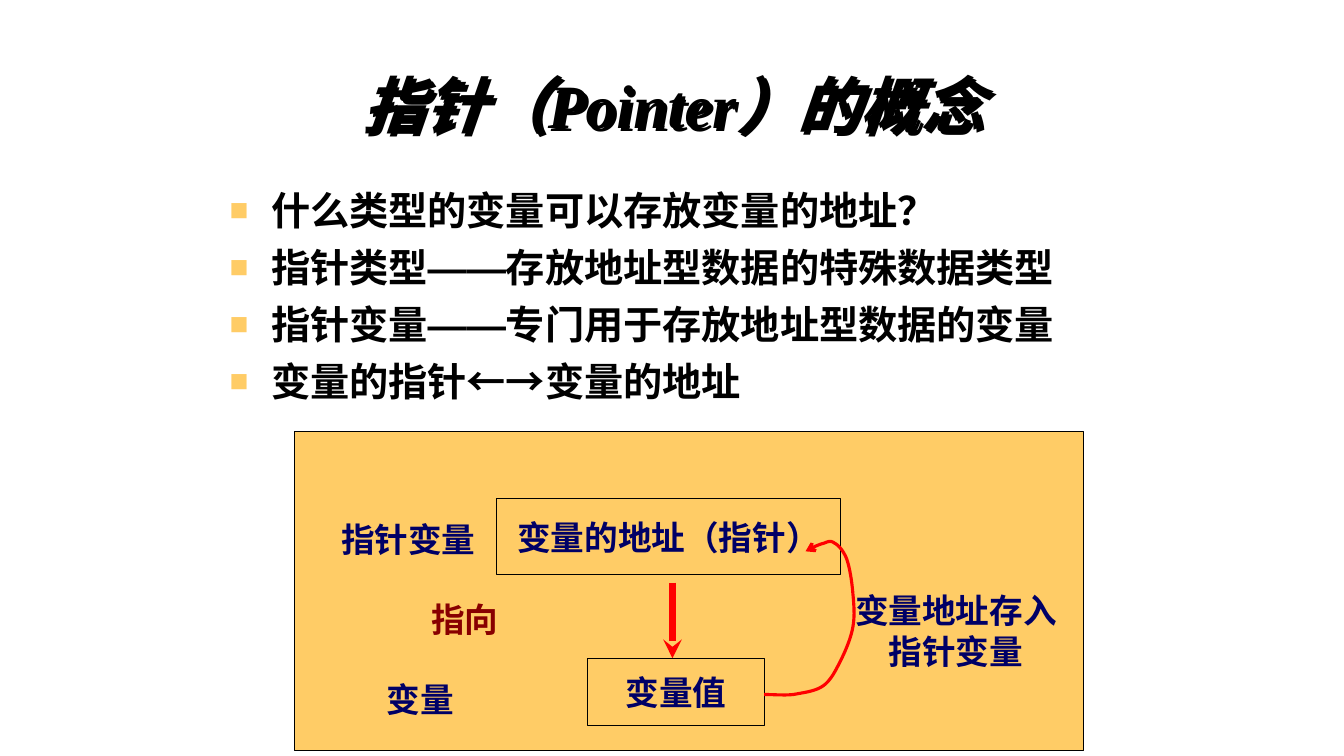
from dataclasses import dataclass

from lxml import etree
from pptx import Presentation
from pptx import util as u
from pptx.dml.color import RGBColor
from pptx.enum import shapes, text
from pptx.oxml import ns


@dataclass(frozen=True)
class Theme:
    latin: str = "Times New Roman"
    cjk: str = "Noto Sans CJK SC"
    dash: str = "Arial"
    ink: str = "000000"
    navy: str = "000066"
    maroon: str = "880000"
    amber: str = "FFCC66"
    red: str = "FF0000"
    title: int = 44
    body: int = 28
    label: int = 24


def add_xml(parent, tag, **attrs):
    return etree.SubElement(parent, ns.qn(tag), **attrs)


def bezier(p0, p1, p2, p3, steps=10):
    """Points along a cubic curve, without its start."""
    for i in range(1, steps + 1):
        t = i / steps
        w = ((1 - t) ** 3, 3 * t * (1 - t) ** 2, 3 * t * t * (1 - t), t ** 3)
        yield tuple(sum(k * p[a] for k, p in zip(w, (p0, p1, p2, p3))) for a in (0, 1))


class SlideBuilder:
    def __init__(self, prs, theme):
        self.theme = theme
        self.s = prs.slides.add_slide(prs.slide_layouts[6])

    def style(self, r, size, color, font=None, italic=False):
        f = r.font
        f.size, f.bold, f.italic = u.Pt(size), True, italic
        f.color.rgb = RGBColor.from_string(color)
        f.name = font or self.theme.latin
        add_xml(r._r.get_or_add_rPr(), "a:ea", typeface=font or self.theme.cjk)

    def text_box(self, left, top, width, height, anchor=text.MSO_ANCHOR.TOP, wrap=True):
        sp = self.s.shapes.add_textbox(*map(u.Inches, (left, top, width, height)))
        tf = sp.text_frame
        tf.word_wrap, tf.vertical_anchor = wrap, anchor
        return sp

    def title(self, words, *at):
        sp = self.text_box(*at, anchor=text.MSO_ANCHOR.MIDDLE)
        p = sp.text_frame.paragraphs[0]
        p.text = words
        p.alignment, p.line_spacing = text.PP_ALIGN.CENTER, 0.85
        self.style(p.runs[0], self.theme.title, self.theme.ink, italic=True)
        effects = add_xml(sp._element.spPr, "a:effectLst")
        shadow = add_xml(effects, "a:outerShdw", dist=str(u.Inches(0.04)),
                         dir="2700000", algn="ctr", rotWithShape="0")
        add_xml(shadow, "a:srgbClr", val=self.theme.ink)

    def bullets(self, items, *at):
        """Each item is split at its dash, which has a font of its own."""
        t = self.theme
        tf = self.text_box(*at).text_frame
        for i, item in enumerate(items):
            p = tf.add_paragraph() if i else tf.paragraphs[0]
            p.line_spacing = u.Pt(35)
            p.space_before = u.Pt(5.6 if i else 0)
            pPr = p._p.get_or_add_pPr()
            pPr.set("marL", str(u.Inches(0.41)))
            pPr.set("indent", str(-u.Inches(0.41)))
            add_xml(add_xml(pPr, "a:buClr"), "a:srgbClr", val=t.amber)
            add_xml(pPr, "a:buSzPct", val="80000")
            add_xml(pPr, "a:buFont", typeface=t.dash)
            add_xml(pPr, "a:buChar", char="■")
            before, dash, after = item.partition("——")
            for part in filter(None, (before, dash, after)):
                r = p.add_run()
                r.text = part
                self.style(r, t.body, t.ink, t.dash if part == dash else None)

    def box(self, left, top, width, height, words=""):
        sp = self.s.shapes.add_shape(shapes.MSO_SHAPE.RECTANGLE,
                                     *map(u.Inches, (left, top, width, height)))
        sp.shadow.inherit = False
        sp.fill.solid()
        sp.fill.fore_color.rgb = RGBColor.from_string(self.theme.amber)
        sp.line.color.rgb = RGBColor.from_string(self.theme.ink)
        sp.line.width = u.Pt(0.75)
        if words:
            tf = sp.text_frame
            tf.word_wrap, tf.vertical_anchor = False, text.MSO_ANCHOR.MIDDLE
            self.lines(tf, words, self.theme.navy)

    def lines(self, tf, words, color, spacing=None):
        tf.text = words
        for p in tf.paragraphs:
            p.alignment = text.PP_ALIGN.CENTER
            p.line_spacing = spacing
            self.style(p.runs[0], self.theme.label, color)

    def label(self, words, center_x, center_y, color):
        width, height = 1.6, 0.5
        sp = self.text_box(center_x - width / 2, center_y - height / 2, width, height,
                           text.MSO_ANCHOR.MIDDLE, wrap=False)
        self.lines(sp.text_frame, words, color)

    def note(self, words, *at):
        self.lines(self.text_box(*at).text_frame, words, self.theme.navy, u.Pt(29.3))

    def red_line(self, sp, width, head):
        sp.line.color.rgb = RGBColor.from_string(self.theme.red)
        sp.line.width = u.Pt(width)
        add_xml(sp.line._get_or_add_ln(), "a:tailEnd", type=head)

    def arrow(self, x1, y1, x2, y2):
        cn = self.s.shapes.add_connector(shapes.MSO_CONNECTOR.STRAIGHT,
                                         *map(u.Inches, (x1, y1, x2, y2)))
        add_xml(cn._element.spPr, "a:effectLst")
        self.red_line(cn, 4.5, "stealth")

    def curved_arrow(self, points):
        """Points are a start, then two handles and an end for each curve."""
        fb = self.s.shapes.build_freeform(*map(u.Inches, points[0]), scale=1.0)
        outline = [tuple(map(u.Inches, xy)) for i in range(0, len(points) - 1, 3)
                   for xy in bezier(*points[i:i + 4])]
        fb.add_line_segments(outline, close=False)
        sp = fb.convert_to_shape()
        sp.shadow.inherit = False
        sp.fill.background()
        self.red_line(sp, 2.25, "arrow")


def main():
    prs = Presentation()
    prs.slide_width, prs.slide_height = u.Inches(13.33), u.Inches(7.5)
    theme = Theme()
    b = SlideBuilder(prs, theme)

    b.title("指针（Pointer）的概念", 0.99, 0.63, 11.37, 0.92)
    b.bullets(["什么类型的变量可以存放变量的地址？",
               "指针类型——存放地址型数据的特殊数据类型",
               "指针变量——专门用于存放地址型数据的变量",
               "变量的指针←→变量的地址"], 2.18, 1.78, 9.49, 2.52)

    b.box(2.92, 4.28, 7.83, 3.17)
    b.label("指针变量", 4.05, 5.35, theme.navy)
    b.label("指向", 4.61, 6.14, theme.maroon)
    b.label("变量", 4.17, 6.94, theme.navy)
    b.box(4.92, 4.95, 3.42, 0.75, "变量的地址（指针）")
    b.box(5.83, 6.53, 1.75, 0.67, "变量值")
    b.arrow(6.67, 5.78, 6.67, 6.53)
    b.curved_arrow([(7.58, 6.89), (7.68, 6.89), (7.78, 6.9), (7.87, 6.89),
                    (7.97, 6.87), (8.09, 6.86), (8.17, 6.8),
                    (8.24, 6.75), (8.29, 6.65), (8.34, 6.55),
                    (8.39, 6.45), (8.44, 6.33), (8.46, 6.22),
                    (8.48, 6.11), (8.47, 6), (8.46, 5.89),
                    (8.45, 5.77), (8.43, 5.64), (8.4, 5.55),
                    (8.37, 5.47), (8.32, 5.41), (8.28, 5.39),
                    (8.24, 5.36), (8.22, 5.37), (8.17, 5.39),
                    (8.12, 5.4), (8.02, 5.45), (7.99, 5.47)])
    b.note("变量地址存入\n指针变量", 8.32, 5.8, 2.32, 0.91)
    prs.save("out.pptx")


if __name__ == "__main__":
    main()
